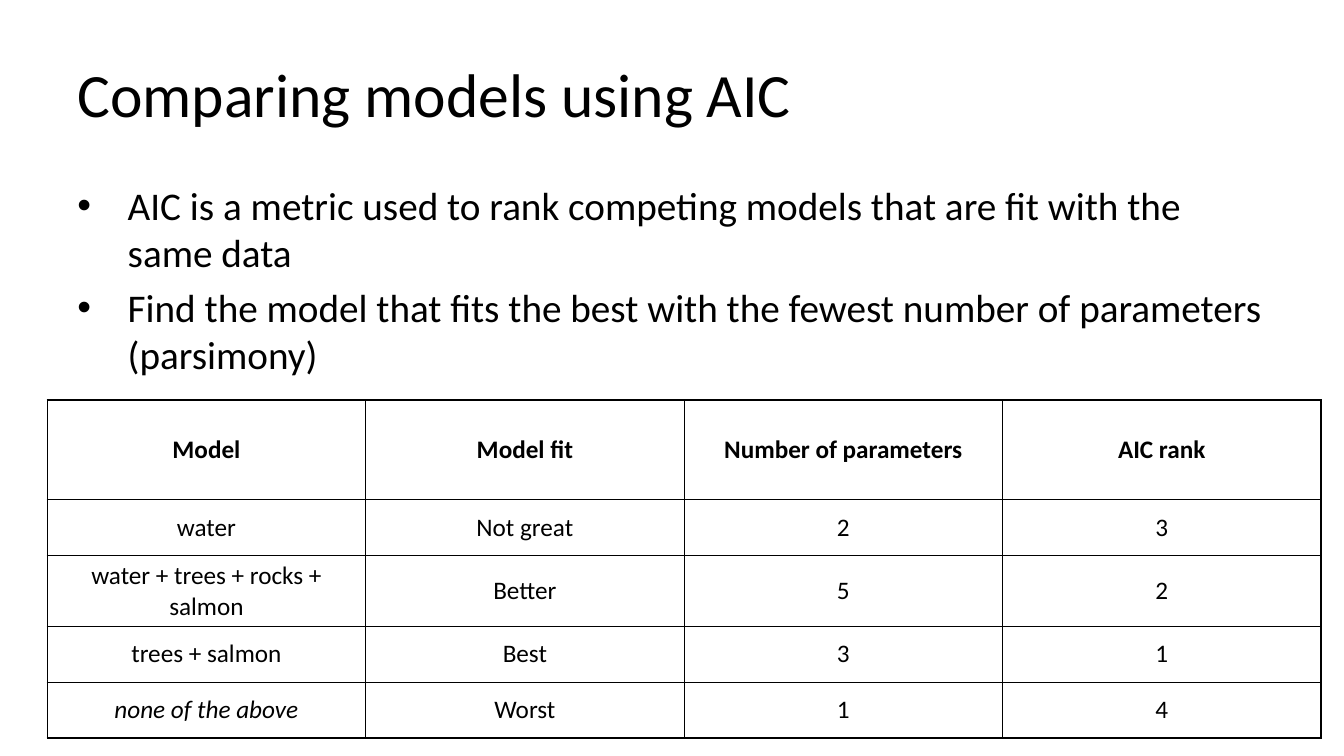
from lxml.etree import SubElement
from pptx import Presentation
from pptx.dml.color import RGBColor
from pptx.enum.text import MSO_ANCHOR, PP_ALIGN
from pptx.oxml.ns import qn
from pptx.util import Cm, Pt

BLACK = "000000"
BULLETS = [
    "AIC is a metric used to rank competing models that are fit with the same data",
    "Find the model that fits the best with the fewest number of parameters (parsimony)",
]
MODELS = [
    ["Model", "Model fit", "Number of parameters", "AIC rank"],
    ["water", "Not great", "2", "3"],
    ["water + trees + rocks + salmon", "Better", "5", "2"],
    ["trees + salmon", "Best", "3", "1"],
    ["none of the above", "Worst", "1", "4"],
]


def colour(value):
    """Turn a hex string into a colour."""
    return RGBColor.from_string(value)


def write(para, text, size=18, bold=False, italic=False, align=PP_ALIGN.LEFT):
    """Add one formatted span of text to a paragraph."""
    para.alignment = align
    span = para.add_run()
    span.text = text
    font = span.font
    font.name, font.size, font.bold, font.italic = "Calibri", Pt(size), bold, italic
    font.color.rgb = colour(BLACK)


def add_title(page, text):
    """Place and fill the title placeholder."""
    title = page.shapes.title
    title.left, title.top, title.width, title.height = Cm(1.7), Cm(0.76), Cm(30.48), Cm(3.18)
    title.text_frame.vertical_anchor = MSO_ANCHOR.MIDDLE
    write(title.text_frame.paragraphs[0], text, size=44)


def add_bullets(page, lines):
    """Add a text box with hanging bullets."""
    box = page.shapes.add_textbox(Cm(1.7), Cm(4.45), Cm(30.48), Cm(12.57))
    frame = box.text_frame
    frame.word_wrap = True
    for index, line in enumerate(lines):
        para = frame.add_paragraph() if index else frame.paragraphs[0]
        write(para, line, size=28)
        para.space_before = Pt(5.6)
        properties = para._p.get_or_add_pPr()
        properties.set("marL", str(Cm(1.27)))
        properties.set("indent", str(-Cm(1.27)))
        SubElement(properties, qn("a:buFont"), typeface="Arial")
        SubElement(properties, qn("a:buChar"), char="•")


def add_borders(cell):
    """Draw a thin line on every side of a cell."""
    properties = cell._tc.get_or_add_tcPr()
    for side in ("lnL", "lnR", "lnT", "lnB"):
        line = SubElement(properties, qn(f"a:{side}"), w=str(Pt(1)))
        fill = SubElement(line, qn("a:solidFill"))
        SubElement(fill, qn("a:srgbClr"), val=BLACK)


def add_model_table(page, rows):
    """Add the bordered table of models, with a bold header row."""
    heights = [Cm(2.51)] + [Cm(1.41)] * (len(rows) - 1)
    frame = page.shapes.add_table(
        len(rows), len(rows[0]), Cm(1.19), Cm(10.08), Cm(32.1), sum(heights)
    )
    table = frame.table
    table.first_row = table.horz_banding = False
    for row, height in zip(table.rows, heights):
        row.height = height
    for row_index, values in enumerate(rows):
        for column_index, value in enumerate(values):
            cell = table.cell(row_index, column_index)
            cell.vertical_anchor = MSO_ANCHOR.MIDDLE
            add_borders(cell)
            cell.fill.background()
            write(
                cell.text_frame.paragraphs[0],
                value,
                bold=row_index == 0,
                italic=value == "none of the above",
                align=PP_ALIGN.CENTER,
            )


def main():
    """Build the slide and save it."""
    deck = Presentation()
    deck.slide_width, deck.slide_height = Cm(33.87), Cm(19.05)
    page = deck.slides.add_slide(deck.slide_layouts[5])
    add_title(page, "Comparing models using AIC")
    add_bullets(page, BULLETS)
    add_model_table(page, MODELS)
    deck.save("out.pptx")


if __name__ == "__main__":
    main()
